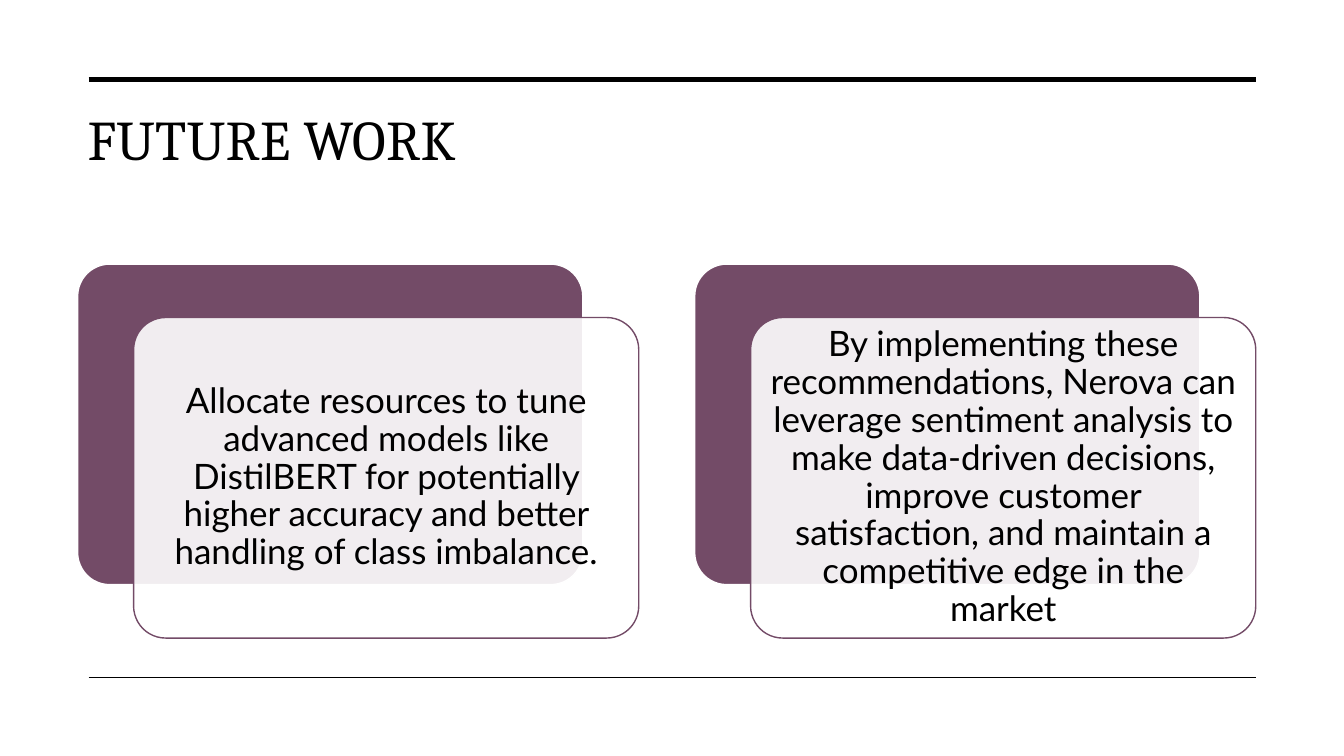
from lxml.etree import SubElement
from pptx import Presentation
from pptx.dml.color import RGBColor
from pptx.enum.shapes import MSO_CONNECTOR as Connector, MSO_SHAPE as Preset
from pptx.enum.text import MSO_ANCHOR as Anchor, PP_ALIGN as Align
from pptx.oxml.ns import qn
from pptx.util import Inches, Pt

COLORS = {name: RGBColor.from_string(value) for name, value in {
    "ink": "000000", "plum": "734B67", "paper": "FFFFFF"}.items()}

# Two columns of cards, each with a front panel shifted down and right
LEFT, TOP, COLUMN = 0.77, 2.62, 6.12
CARD_W, CARD_H = 5.01, 3.18
SHIFT_X, SHIFT_Y, PAD = 0.555, 0.53, 0.095
RULE_LEFT, RULE_RIGHT = 0.88, 12.46

plans = [
    "Allocate resources to tune advanced models like DistilBERT for potentially "
    "higher accuracy and better handling of class imbalance.",
    "By implementing these recommendations, Nerova can leverage sentiment analysis "
    "to make data-driven decisions, improve customer satisfaction, and maintain a "
    "competitive edge in the market",
]

prs = Presentation()
prs.slide_width, prs.slide_height = Inches(13.33), Inches(7.5)
slide = prs.slides.add_slide(prs.slide_layouts[6])
shapes = slide.shapes


def add_words(words, box, frame_format, font_format):
    frame = shapes.add_textbox(*map(Inches, box)).text_frame
    for name, value in frame_format.items():
        setattr(frame, name, value)
    paragraph = frame.paragraphs[0]
    run = paragraph.add_run()
    run.text = words
    run.font.color.rgb = COLORS["ink"]
    for name, value in font_format.items():
        setattr(run.font, name, value)
    return paragraph


def add_card(left, top, fill, line):
    card = shapes.add_shape(Preset.ROUNDED_RECTANGLE,
                            *map(Inches, (left, top, CARD_W, CARD_H)))
    card.adjustments[0] = 0.1
    card.shadow.inherit = False
    card.fill.solid()
    card.fill.fore_color.rgb = COLORS[fill]
    card.line.color.rgb = COLORS[line]
    card.line.width = Pt(1)
    return card


# Title
title = add_words("FUTURE WORK", (LEFT, 0.99, 11.69, 1.26),
                  {"word_wrap": True, "vertical_anchor": Anchor.TOP},
                  {"name": "Cambria", "size": Pt(40)})
title.runs[0].font._element.set("spc", "30")

# Rules above and below the content
for y, weight in ((0.79, 3.5), (6.72, 1)):
    rule = shapes.add_connector(Connector.STRAIGHT,
                                *map(Inches, (RULE_LEFT, y, RULE_RIGHT, y)))
    rule.line.color.rgb = COLORS["ink"]
    rule.line.width = Pt(weight)
    SubElement(rule._element.spPr, qn("a:effectLst"))

# Cards
plan_frame = {"word_wrap": True, "vertical_anchor": Anchor.MIDDLE,
              **{f"margin_{side}": Inches(0.1)
                 for side in ("left", "top", "right", "bottom")}}
for column, plan in enumerate(plans):
    left = LEFT + column * COLUMN
    add_card(left, TOP, "plum", "paper")

    # Front panel, slightly see-through
    panel_left, panel_top = left + SHIFT_X, TOP + SHIFT_Y
    panel = add_card(panel_left, panel_top, "paper", "plum")
    panel_color = panel._element.spPr.find(qn("a:solidFill"))[0]
    SubElement(panel_color, qn("a:alpha"), val="90000")

    text = add_words(plan, (panel_left + PAD, panel_top + PAD,
                            CARD_W - 2 * PAD, CARD_H - 2 * PAD),
                     plan_frame, {"name": "Lato", "size": Pt(25)})
    text.alignment = Align.CENTER
    text.line_spacing = 0.9

prs.save("out.pptx")
